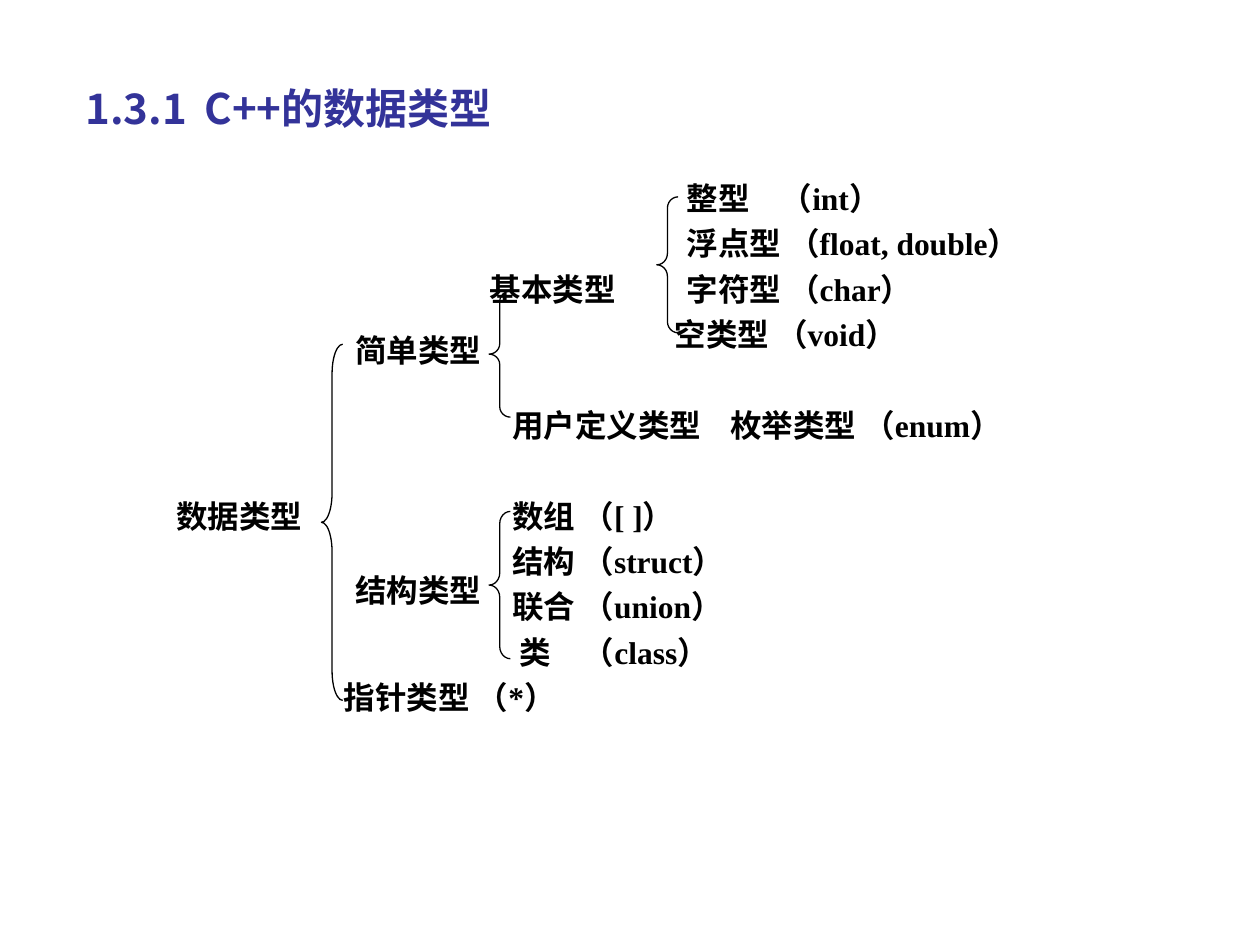
from dataclasses import dataclass
from lxml.etree import SubElement
from pptx import Presentation
from pptx.dml.color import RGBColor as RGB
from pptx.enum.shapes import MSO_SHAPE as Shape
from pptx.enum.text import MSO_ANCHOR as Anchor, MSO_AUTO_SIZE as Fit, PP_ALIGN as Align
from pptx.oxml.ns import qn
from pptx.util import Cm, Pt


@dataclass(frozen=True)
class Theme:
    head: RGB = RGB(0x33, 0x33, 0x99)
    ink: RGB = RGB(0, 0, 0)
    head_font: str = "Noto Sans CJK SC"
    body_font: str = "Times New Roman"
    head_size: int = 24
    body_size: int = 18
    line: float = 0.75


THEME = Theme()
ROW = 26  # height of one outline row in points

# Outline rows: tab stops in cm, text, empty rows above
ROWS = [
    ([10.29, 12.19], "\t整型\t（int）", 0),
    ([10.29], "\t浮点型 （float, double）", 0),
    ([6.32, 10.29], "\t基本类型\t字符型 （char）", 0),
    ([10.05], "\t空类型 （void）", 0),
    ([6.78, 11.17], "\t用户定义类型\t枚举类型 （enum）", 1),
    ([6.78], "数据类型\t数组 （[ ]）", 1),
    ([6.78], "\t结构 （struct）", 0),
    ([6.78], "\t联合 （union）", 0),
    ([6.93, 8.2], "\t类\t（class）", 0),
    ([3.38], "\t指针类型 （*）", 0),
]
# Braces, relative to the tree: left, top, height, curl
BRACES = [
    (3.18, 3.61, 7.18, 1.38),
    (6.56, 2.54, 2.54, 0.49),
    (9.94, 0.64, 2.74, 0.53),
    (6.56, 6.98, 2.97, 0.57),
]
# Branch labels, relative to the tree: left, top, text
LABELS = [(3.61, 3.22, "简单类型"), (3.61, 8.05, "结构类型")]


def set_tabs(para, stops):
    tabs = SubElement(para._p.get_or_add_pPr(), qn("a:tabLst"))
    for stop in stops:
        SubElement(tabs, qn("a:tab"), pos=str(Cm(stop)), algn="l")


def set_font(para, name, size, color):
    font = para.font
    font.name, font.size, font.bold = name, Pt(size), True
    font.color.rgb = color


def add_text(slide, x, y, w, h, wrap):
    box = slide.shapes.add_textbox(Cm(x), Cm(y), Cm(w), Cm(h))
    box.text_frame.word_wrap = wrap
    return box.text_frame


def add_title(slide, x, y, w, h):
    title = slide.shapes.title
    title.left, title.top, title.width, title.height = map(Cm, (x, y, w, h))
    frame = title.text_frame
    frame.auto_size, frame.vertical_anchor = Fit.NONE, Anchor.MIDDLE
    para = frame.paragraphs[0]
    para.text = "1.3.1\tC++的数据类型"
    para.alignment = Align.LEFT
    set_tabs(para, [2.4])
    set_font(para, THEME.head_font, THEME.head_size, THEME.head)


def add_brace(slide, x, y, h, curl):
    brace = slide.shapes.add_shape(Shape.LEFT_BRACE, Cm(x), Cm(y), Cm(0.43), Cm(h))
    brace.adjustments[0] = curl
    brace.shadow.inherit = False
    brace.fill.background()
    brace.line.color.rgb = THEME.ink
    brace.line.width = Pt(THEME.line)


def add_tree(slide, x, y, w, h):
    # Outline of types
    frame = add_text(slide, x, y, w, h, True)
    for i, (stops, text, skip) in enumerate(ROWS):
        para = frame.add_paragraph() if i else frame.paragraphs[0]
        para.text = text
        para.line_spacing = 1.2
        para.space_before = Pt(skip * ROW)
        set_tabs(para, stops)
        set_font(para, THEME.body_font, THEME.body_size, THEME.ink)
    # Braces
    for dx, dy, tall, curl in BRACES:
        add_brace(slide, x + dx, y + dy, tall, curl)
    # Branch labels
    for dx, dy, text in LABELS:
        para = add_text(slide, x + dx, y + dy, 3.05, 1.02, False).paragraphs[0]
        para.text = text
        para.alignment = Align.CENTER
        set_font(para, THEME.body_font, THEME.body_size, THEME.ink)


def main():
    deck = Presentation()
    deck.slide_width, deck.slide_height = Cm(25.4), Cm(19.05)
    slide = deck.slides.add_slide(deck.slide_layouts[5])
    add_title(slide, 1.47, 1.32, 15.67, 1.7)
    add_tree(slide, 3.3, 3.33, 18.42, 11.23)
    deck.save("out.pptx")


if __name__ == "__main__":
    main()
